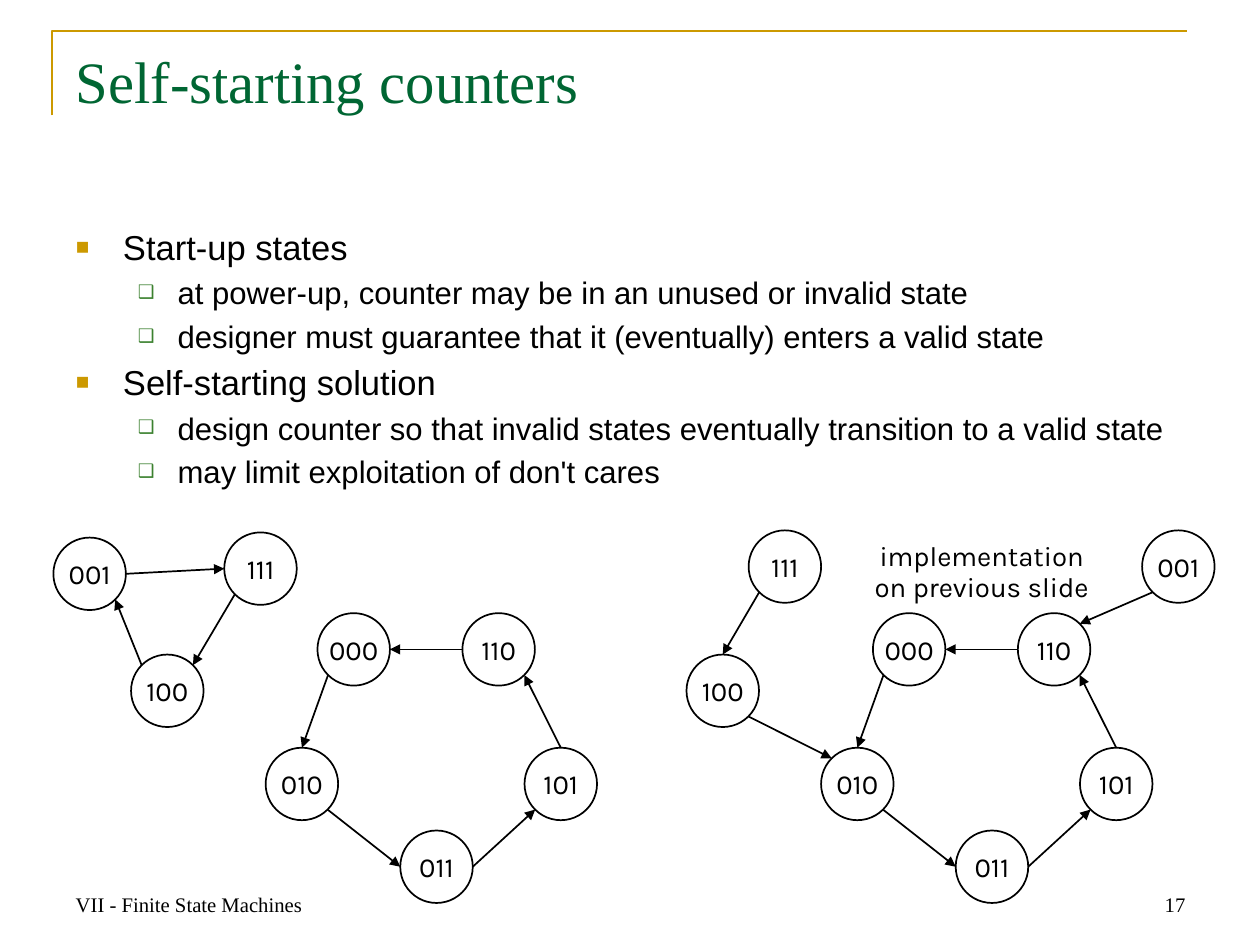
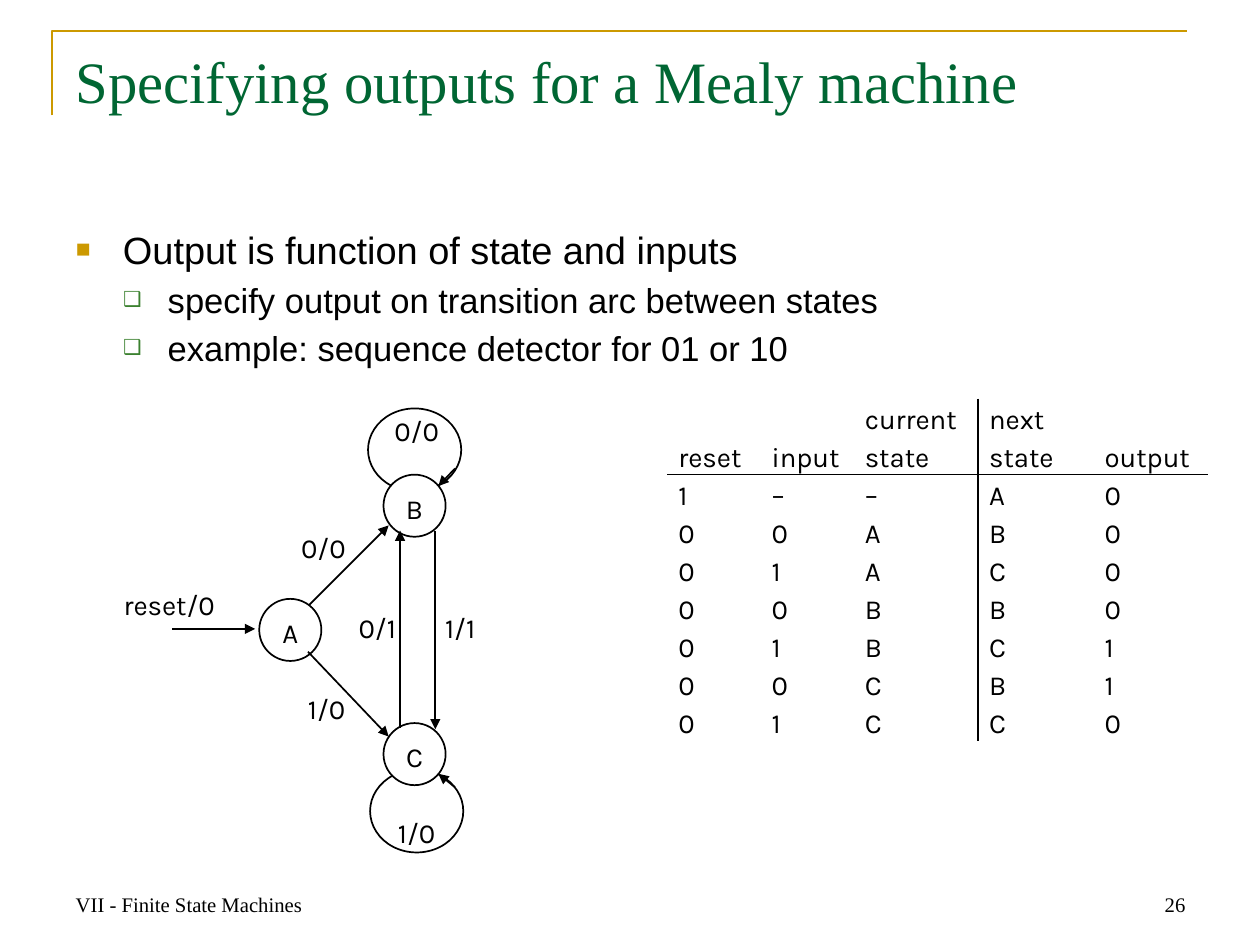
from copy import deepcopy
from math import cos, radians, sin

from lxml import etree
from pptx import Presentation
from pptx.dml.color import RGBColor
from pptx.enum.shapes import MSO_CONNECTOR, MSO_SHAPE, PP_PLACEHOLDER
from pptx.enum.text import MSO_ANCHOR, MSO_AUTO_SIZE, PP_ALIGN
from pptx.oxml.ns import qn
from pptx.util import Inches, Pt

LEFT, CENTER, RIGHT = PP_ALIGN.LEFT, PP_ALIGN.CENTER, PP_ALIGN.RIGHT
TOP, MIDDLE, BOTTOM = MSO_ANCHOR.TOP, MSO_ANCHOR.MIDDLE, MSO_ANCHOR.BOTTOM
ELLIPSE, STRAIGHT = MSO_SHAPE.OVAL, MSO_CONNECTOR.STRAIGHT
NO_AUTOFIT = MSO_AUTO_SIZE.NONE

SERIF, SANS, DIAGRAM_FONT = "Times New Roman", "Arial", "Karla"
BLACK, WHITE, GREEN, GOLD, LEAF = "000000", "FFFFFF", "006633", "CC9900", "3B812F"

WIDTH, HEIGHT = Inches(10.14), Inches(7.6)
CELL = Inches(1) / 12  # diagrams sit on a grid of twelve cells to the inch
ROW = Pt(22)
FOOTER_TEXT = "VII - Finite State Machines"
PLACEHOLDER_BOXES = {
    PP_PLACEHOLDER.TITLE: (0.51, 0.31, 9.12, 1.26),
    PP_PLACEHOLDER.OBJECT: (0.51, 1.77, 9.12, 5.02),
    PP_PLACEHOLDER.FOOTER: (0.51, 6.92, 2.37, 0.51),
    PP_PLACEHOLDER.SLIDE_NUMBER: (7.27, 6.92, 2.37, 0.51),
}
BULLETS = (("■", GOLD, 65), ("❑", LEAF, 60))

# Angles of the points where arrows meet a state, clockwise from the right
SITES = {"right": 0, "bottom right": 45, "bottom left": 135, "left": 180,
         "top left": 225, "top": 270, "top right": 315}

CYCLE_STATES = {"000": (29, 11.5), "110": (43, 11.5), "010": (24, 24.5),
                "101": (49, 24.5), "011": (37, 32.5), "100": (11, 15.5)}
CYCLE_ARCS = [
    ("000", "bottom left", "010", "top"),
    ("010", "bottom right", "011", "left"),
    ("011", "right", "101", "bottom left"),
    ("101", "top", "110", "bottom right"),
    ("110", "left", "000", "right"),
]
TRAPPED_STATES = {"001": (3.5, 4.2), "111": (20, 3.7)}
TRAPPED_ARCS = [
    ("111", "bottom left", "100", "top right"),
    ("001", "right", "111", "left"),
    ("100", "top left", "001", "bottom right"),
]
RECOVERING_STATES = {"001": (55, 3.5), "111": (17, 3.5)}
RECOVERING_ARCS = [
    ("001", "bottom left", "110", "top right"),
    ("111", "bottom left", "100", "top"),
    ("100", "bottom right", "010", "top left"),
]

MEALY_LOOPS = [(32, 4.1), (32.2, 39)]
MEALY_STATES = {"A": (20, 21.5), "B": (32, 9.5), "C": (32, 33.5)}
MEALY_ARROWS = [
    ((35.9, 5.9), (34.3, 7.6)),
    ((35.9, 36.7), (34.3, 35.4)),
    ((21.8, 19.1), (29.5, 11.4)),
    ((21.7, 23.6), (29.5, 31.8)),
    ((34, 11.9), (34, 31.1)),
    ((30.6, 31), (30.6, 11.9)),
    ((8.6, 21.4), (16.6, 21.4)),
]
MEALY_LABELS = [
    ("0/0", 32.2, 2.5), ("0/0", 23.2, 13.8), ("0/1", 28.4, 21.5), ("1/1", 36.4, 21.5),
    ("1/0", 23.5, 29.3), ("1/0", 32.2, 41.3), ("reset/0", 8.3, 19.3),
]

TABLE_WIDTHS = (0.75, 0.75, 1, 0.93, 0.92)
TABLE_ROWS = [
    ("reset", "input", "current\nstate", "next\nstate", "output"),
    *("1––A0", "00AB0", "01AC0", "00BB0", "01BC1", "00CB1", "01CC0"),
]


def color(value):
    return RGBColor.from_string(value)


def add_element(parent, tag, **attributes):
    return etree.SubElement(parent, qn(tag), attributes)


def set_text(frame, text, *, size=16, font=DIAGRAM_FONT, ink=BLACK, align=LEFT,
             anchor=TOP, spacing=None, wrap=True, margins=None):
    frame.text = text
    frame.word_wrap = wrap
    frame.auto_size = NO_AUTOFIT
    frame.vertical_anchor = anchor
    if margins:
        frame.margin_left = frame.margin_right = Inches(margins[0])
        frame.margin_top = frame.margin_bottom = Inches(margins[1])
    for paragraph in frame.paragraphs:
        style_paragraph(paragraph, size, font, ink, align, spacing)


def style_paragraph(paragraph, size, font, ink, align=LEFT, spacing=None):
    paragraph.alignment = align
    if spacing:
        paragraph.line_spacing = spacing
    for run in paragraph.runs:
        run.font.size = Pt(size)
        run.font.name = font
        run.font.color.rgb = color(ink)


def set_outline(shape, ink=BLACK, width=1, fill=None):
    shape.shadow.inherit = False
    shape.line.color.rgb = color(ink)
    shape.line.width = Pt(width)
    if fill:
        shape.fill.solid()
        shape.fill.fore_color.rgb = color(fill)
    else:
        shape.fill.background()


def prepare_layout(layout):
    """Place the layout's placeholders, so that every slide inherits their boxes."""
    for placeholder in layout.placeholders:
        box = PLACEHOLDER_BOXES.get(placeholder.placeholder_format.type)
        if box:
            (placeholder.left, placeholder.top,
             placeholder.width, placeholder.height) = map(Inches, box)


def add_layout_frame(slide):
    """Draw the gold corner line and hand it to the layout."""
    builder = slide.shapes.build_freeform(Inches(0.42), Inches(0.93))
    builder.add_line_segments([(Inches(0.42), Inches(0.25)), (Inches(9.55), Inches(0.25))],
                              close=False)
    frame = builder.convert_to_shape()
    set_outline(frame, GOLD, 1.5)
    slide.slide_layout.shapes.element.append(frame.element)


def add_footers(slide, number):
    footers = {PP_PLACEHOLDER.FOOTER: (FOOTER_TEXT, LEFT),
               PP_PLACEHOLDER.SLIDE_NUMBER: (number, RIGHT)}
    for placeholder in slide.slide_layout.placeholders:
        kind = placeholder.placeholder_format.type
        if kind in footers:
            text, align = footers[kind]
            slide.shapes.element.append(deepcopy(placeholder.element))
            set_text(list(slide.shapes)[-1].text_frame, text, size=12, font=SERIF,
                     align=align, anchor=BOTTOM)


def add_bullet(paragraph, level, left, hanging):
    character, ink, percent = BULLETS[level]
    paragraph.level = level
    properties = paragraph._p.get_or_add_pPr()
    properties.set("marL", str(Inches(left)))
    properties.set("indent", str(-Inches(hanging)))
    add_element(add_element(properties, "a:buClr"), "a:srgbClr", val=ink)
    add_element(properties, "a:buSzPct", val=str(percent * 1000))
    add_element(properties, "a:buFont", typeface=SANS)
    add_element(properties, "a:buChar", char=character)


def add_content_slide(presentation, layout, number, title, items, levels):
    """levels gives size, left indent and hanging indent for each list level."""
    slide = presentation.slides.add_slide(layout)
    set_text(slide.shapes.title.text_frame, title, size=34, font=SERIF, ink=GREEN)
    body = slide.placeholders[1].text_frame
    set_text(body, "\n".join(text for _, text in items), font=SANS)
    for paragraph, (level, _) in zip(body.paragraphs, items):
        size, left, hanging = levels[level]
        add_bullet(paragraph, level, left, hanging)
        style_paragraph(paragraph, size, SANS, BLACK)
    body.paragraphs[0].space_before = Pt(0)
    add_footers(slide, number)
    return slide


class Diagram:
    """A group of shapes placed in cells from the corner of its box."""

    def __init__(self, slide, left, top):
        self.shapes = slide.shapes.add_group_shape().shapes
        self.left, self.top = Inches(left), Inches(top)

    def point(self, column, row):
        return int(self.left + column * CELL), int(self.top + row * CELL)

    def box(self, center, columns, rows):
        corner = self.point(center[0] - columns / 2, center[1] - rows / 2)
        return *corner, int(columns * CELL), int(rows * CELL)

    def ellipse(self, center, columns, rows, fill=None):
        shape = self.shapes.add_shape(ELLIPSE, *self.box(center, columns, rows))
        set_outline(shape, fill=fill)
        return shape

    def state(self, name, center, diameter, fill=None, spacing=None):
        shape = self.ellipse(center, diameter, diameter, fill)
        set_text(shape.text_frame, name, align=CENTER, anchor=MIDDLE, wrap=False,
                 spacing=spacing)

    def arrow(self, start, end):
        connector = self.shapes.add_connector(STRAIGHT, *self.point(*start), *self.point(*end))
        connector.line.color.rgb = color(BLACK)
        connector.line.width = Pt(1)
        properties = connector.element.spPr
        add_element(properties.find(qn("a:ln")), "a:tailEnd", type="triangle")
        add_element(properties, "a:effectLst")

    def label(self, text, center, columns, rows, spacing):
        textbox = self.shapes.add_textbox(*self.box(center, columns, rows))
        set_text(textbox.text_frame, text, align=CENTER, spacing=spacing, wrap=False,
                 margins=(0.02, 0.03))


def site_point(center, diameter, site):
    angle = radians(SITES[site])
    return center[0] + diameter / 2 * cos(angle), center[1] + diameter / 2 * sin(angle)


def add_counter_diagram(slide, left, top, extra_states, extra_arcs, caption=None):
    diagram, diameter = Diagram(slide, left, top), 7
    states = CYCLE_STATES | extra_states
    for name, center in states.items():
        diagram.state(name, center, diameter)
    for source, source_site, target, target_site in CYCLE_ARCS + extra_arcs:
        diagram.arrow(site_point(states[source], diameter, source_site),
                      site_point(states[target], diameter, target_site))
    if caption:
        diagram.label(caption, (36, 4.5), 27, 7.7, Pt(18))


def add_mealy_diagram(slide, left, top):
    diagram = Diagram(slide, left, top)
    for center in MEALY_LOOPS:
        diagram.ellipse(center, 9, 8)
    for name, center in MEALY_STATES.items():
        diagram.state(name, center, 6, WHITE, ROW)
    for start, end in MEALY_ARROWS:
        diagram.arrow(start, end)
    for text, column, row in MEALY_LABELS:
        diagram.label(text, (column, row), 2 * len(text), 5.3, ROW)


def set_borders(cell, sides):
    properties = cell._tc.get_or_add_tcPr()
    for index, side in enumerate(sides):
        line = etree.Element(qn("a:ln" + side), w=str(Pt(1)))
        add_element(add_element(line, "a:solidFill"), "a:srgbClr", val=BLACK)
        properties.insert(index, line)


def add_state_table(slide, left, top):
    row_count = len(TABLE_ROWS)
    frame = slide.shapes.add_table(row_count, len(TABLE_WIDTHS), Inches(left), Inches(top),
                                   Inches(sum(TABLE_WIDTHS)), ROW * (row_count + 1))
    table = frame.table
    table.first_row = table.horz_banding = False
    for style in frame.element.iter(qn("a:tableStyleId")):
        style.text = "{2D5ABB26-0587-4C30-8999-92F81FD0307C}"
    for column, width in zip(table.columns, TABLE_WIDTHS):
        column.width = Inches(width)
    for row_index, values in enumerate(TABLE_ROWS):
        table.rows[row_index].height = ROW if row_index else 2 * ROW
        for column_index, value in enumerate(values):
            cell = table.cell(row_index, column_index)
            cell.fill.background()
            cell.vertical_anchor = BOTTOM
            cell.margin_left = Inches(0.09)
            cell.margin_right = cell.margin_top = cell.margin_bottom = 0
            cell.text = value
            for paragraph in cell.text_frame.paragraphs:
                style_paragraph(paragraph, 16, DIAGRAM_FONT, BLACK, spacing=ROW)
            sides = "R" if column_index == 2 else ""
            set_borders(cell, sides if row_index else sides + "B")


def main():
    presentation = Presentation()
    presentation.slide_width, presentation.slide_height = WIDTH, HEIGHT
    layout = presentation.slide_layouts[1]
    prepare_layout(layout)

    counters = add_content_slide(presentation, layout, "17", "Self-starting counters", [
        (0, "Start-up states"),
        (1, "at power-up, counter may be in an unused or invalid state"),
        (1, "designer must guarantee that it (eventually) enters a valid state"),
        (0, "Self-starting solution"),
        (1, "design counter so that invalid states eventually transition to a valid state"),
        (1, "may limit exploitation of don't cares"),
    ], [(20, 0.38, 0.38), (18, 0.82, 0.32)])
    add_layout_frame(counters)
    add_counter_diagram(counters, 0.43, 4.27, TRAPPED_STATES, TRAPPED_ARCS)
    add_counter_diagram(counters, 4.9, 4.27, RECOVERING_STATES, RECOVERING_ARCS,
                        "implementation\non previous slide")

    mealy = add_content_slide(presentation, layout, "26", "Specifying outputs for a Mealy machine", [
        (0, "Output is function of state and inputs"),
        (1, "specify output on transition arc between states"),
        (1, "example: sequence detector for 01 or 10"),
    ], [(22, 0.38, 0.38), (20, 0.74, 0.36)])
    add_mealy_diagram(mealy, 0.67, 3.28)
    add_state_table(mealy, 5.37, 3.21)

    presentation.save("out.pptx")


if __name__ == "__main__":
    main()
